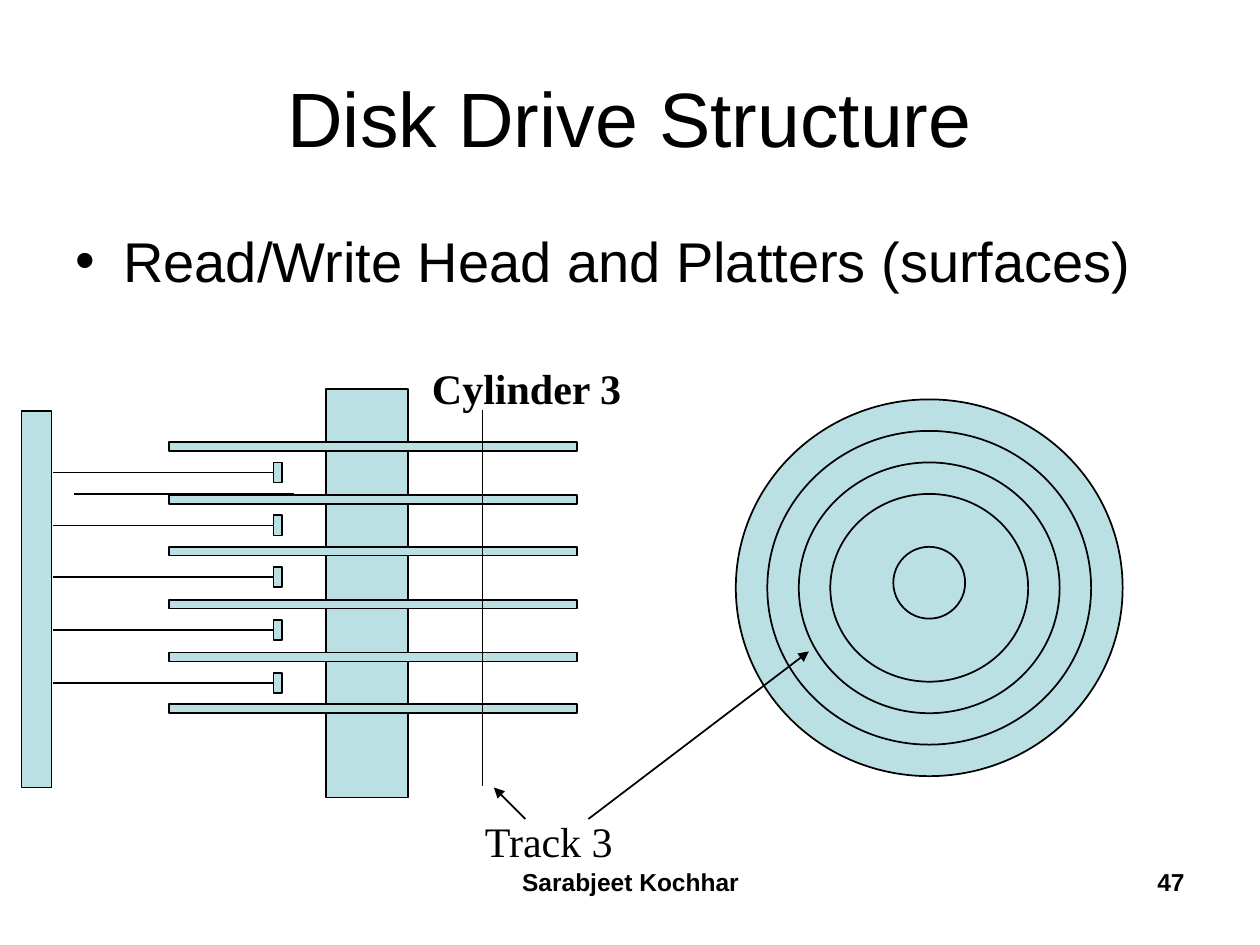
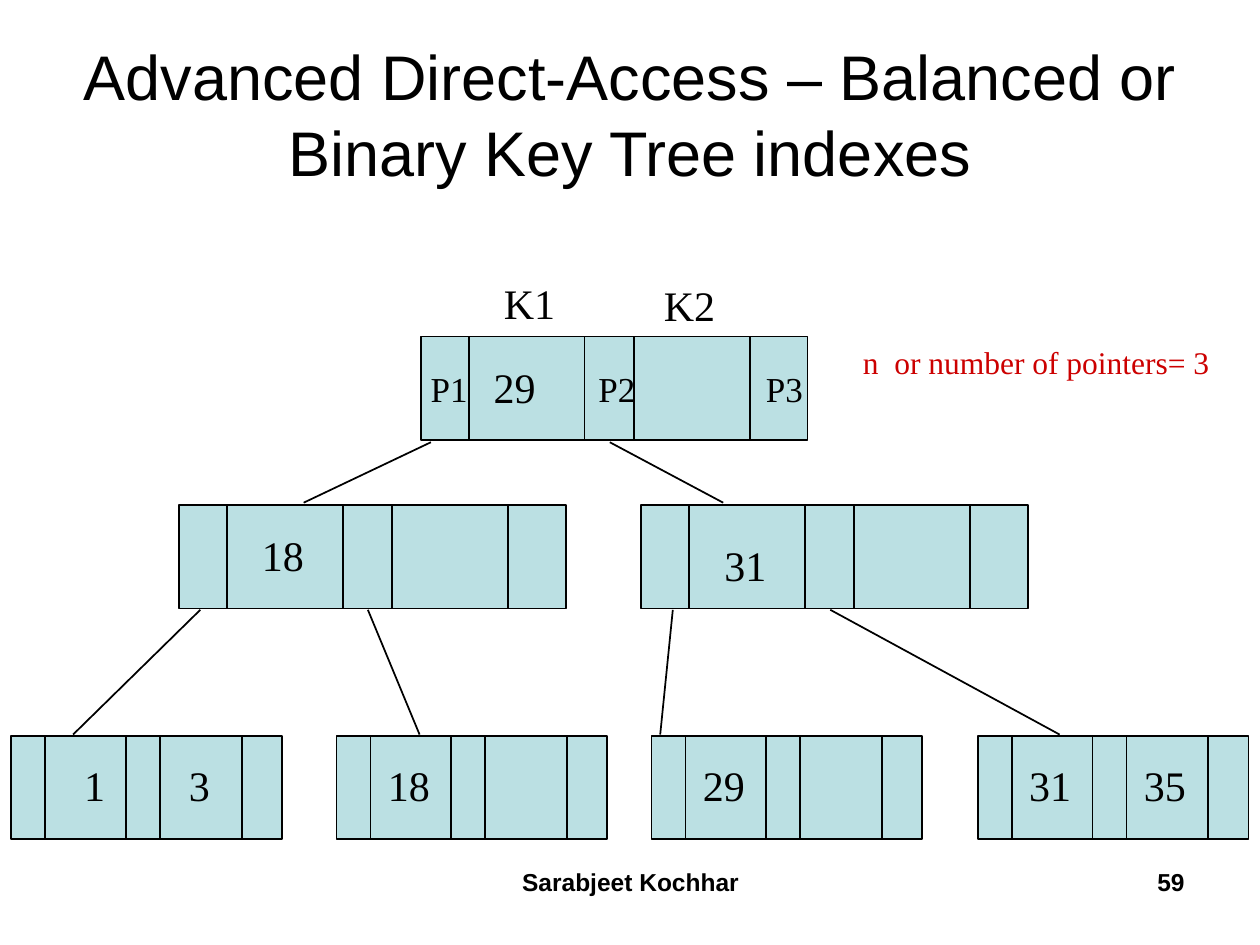
from lxml import etree
from pptx import Presentation
from pptx.dml.color import RGBColor
from pptx.enum.shapes import MSO_CONNECTOR, MSO_SHAPE
from pptx.enum.text import MSO_ANCHOR, PP_ALIGN
from pptx.oxml.ns import qn
from pptx.util import Emu, Pt

RECT, OVAL = MSO_SHAPE.RECTANGLE, MSO_SHAPE.OVAL
STRAIGHT = MSO_CONNECTOR.STRAIGHT
LEFT, MID, RIGHT = PP_ALIGN.LEFT, PP_ALIGN.CENTER, PP_ALIGN.RIGHT
TOP, CENTER, BASE = MSO_ANCHOR.TOP, MSO_ANCHOR.MIDDLE, MSO_ANCHOR.BOTTOM

SCALE = 9144  # 100 px to the inch
INK, TEAL, RED = "000000", "BBE0E3", "CC0000"
SANS, SERIF = "Arial", "Times New Roman"
AUTHOR = "Sarabjeet Kochhar"
PITCH = 125 / 3  # gap between platters


def px(n):
    return Emu(round(n * SCALE))


def color(code):
    return RGBColor.from_string(code)


def write(shapes, box, text, size=24, font=SERIF, ink=INK, bold=False,
          align=LEFT, anchor=TOP, wrap=False):
    frame = shapes.add_textbox(*map(px, box)).text_frame
    frame.word_wrap = wrap
    frame.vertical_anchor = anchor
    frame.text = text
    para = frame.paragraphs[0]
    para.alignment = align
    style = para.runs[0].font
    style.size, style.name, style.bold = Pt(size), font, bold
    style.color.rgb = color(ink)
    return para


def solid(shapes, kind, box):
    shape = shapes.add_shape(kind, *map(px, box))
    shape.shadow.inherit = False
    shape.fill.solid()
    shape.fill.fore_color.rgb = color(TEAL)
    shape.line.color.rgb = color(INK)
    shape.line.width = Pt(1)
    return shape


def line(shapes, x1, y1, x2, y2, arrow=False):
    link = shapes.add_connector(STRAIGHT, px(x1), px(y1), px(x2), px(y2))
    link.line.color.rgb = color(INK)
    link.line.width = Pt(1)
    if arrow:
        etree.SubElement(link.line._get_or_add_ln(), qn("a:tailEnd"),
                         type="triangle")
    etree.SubElement(link._element.spPr, qn("a:effectLst"))
    return link


# Title and footer shared by all slides
def start(deck, title, number, size, anchor):
    shapes = deck.slides.add_slide(deck.slide_layouts[6]).shapes
    write(shapes, (50, 30, 900, 125), title, size, SANS,
          align=MID, anchor=anchor, wrap=True)
    write(shapes, (342, 683, 317, 52), AUTHOR, 14, SANS,
          bold=True, align=MID, wrap=True)
    write(shapes, (717, 683, 233, 52), str(number), 14, SANS,
          bold=True, align=RIGHT, wrap=True)
    return shapes


def bullet(shapes, box, text):
    para = write(shapes, box, text, 32, SANS, wrap=True)
    para.space_before = Pt(8)
    props = para._p.get_or_add_pPr()
    props.set("marL", str(px(38)))
    props.set("indent", str(px(-38)))
    etree.SubElement(props, qn("a:buFont"), typeface=SANS)
    etree.SubElement(props, qn("a:buChar"), char="•")


# Spindle with its stack of platters
def stack(shapes, x, y):
    solid(shapes, RECT, (x + 125, y, 65, 324))
    for i in range(6):
        solid(shapes, RECT, (x, y + 42 + round(i * PITCH), 324, 7))


# Rack with arms and read/write heads
def comb(shapes, x, y):
    solid(shapes, RECT, (x, y, 24, 299))
    for i in range(5):
        mid = y + 49 + round(i * PITCH)
        head = solid(shapes, RECT, (x + 200, mid - 8, 7, 16))
        arm = line(shapes, x + 25, mid, x + 200, mid)
        arm.end_connect(head, 1)
    line(shapes, x + 42, y + 66, x + 216, y + 66)


# Platter seen from above
def rings(shapes, x, y):
    for inset in range(0, 100, 25):
        solid(shapes, OVAL, (x + inset, y + inset,
                             307 - 2 * inset, 299 - 2 * inset))
    solid(shapes, OVAL, (x + 125, y + 117, 57, 57))


def drive(deck):
    shapes = start(deck, "Disk Drive Structure", 47, 44, CENTER)
    bullet(shapes, (50, 175, 900, 82),
           "Read/Write Head and Platters (surfaces)")
    stack(shapes, 134, 309)
    comb(shapes, 17, 326)
    rings(shapes, 584, 317)
    # Cylinder and track labels
    line(shapes, 383, 325, 383, 624)
    write(shapes, (333, 283, 180, 50), "Cylinder 3", bold=True)
    write(shapes, (375, 642, 130, 90), "Track 3", wrap=True)
    line(shapes, 467, 650, 642, 517, arrow=True)
    line(shapes, 417, 650, 392, 625, arrow=True)


# Tree node: pointer and key cells, keys given as (text, dx, dy)
def node(shapes, x, y, width, keys):
    cells = shapes.add_group_shape().shapes
    solid(cells, RECT, (x, y, width, 82))
    for part in (0.125, 0.425, 0.55, 0.85):
        edge = x + round(part * width)
        line(cells, edge, y, edge, y + 82)
    for text, dx, dy in keys:
        write(shapes, (x + dx, y + dy, 22 + 18 * len(text), 50), text)


def tree(deck):
    shapes = start(
        deck, "Advanced Direct-Access – Balanced or Binary Key Tree indexes",
        59, 36, BASE)
    # Nodes by level
    wide, slim = 307, 215
    node(shapes, 334, 267, wide, [("29", 48, 15)])
    node(shapes, 142, 401, wide, [("18", 56, 14)])
    node(shapes, 509, 401, wide, [("31", 56, 22)])
    leaves = [
        (9, [("1", 48, 14), ("3", 131, 14)]),
        (267, [("18", 31, 14)]),
        (517, [("29", 31, 14)]),
        (776, [("31", 31, 14), ("35", 122, 14)]),
    ]
    for x, keys in leaves:
        node(shapes, x, 584, slim, keys)
    # Links between levels
    for x1, x2 in ((342, 241), (484, 574)):
        line(shapes, x1, 351, x2, 399)
    for x1, x2 in ((159, 58), (292, 333), (534, 524), (659, 841)):
        line(shapes, x1, 484, x2, 583)
    # Labels of the root
    for i in range(3):
        write(shapes, (332 + 133 * i, 287, 58, 43), f"P{i + 1}", 20)
    write(shapes, (390, 215, 68, 50), "K1")
    write(shapes, (517, 217, 68, 50), "K2")
    write(shapes, (675, 267, 305, 40), "n  or number of pointers= 3",
          18, ink=RED)


def main():
    deck = Presentation()
    deck.slide_width, deck.slide_height = px(1000), px(750)
    drive(deck)
    tree(deck)
    deck.save("out.pptx")


if __name__ == "__main__":
    main()
